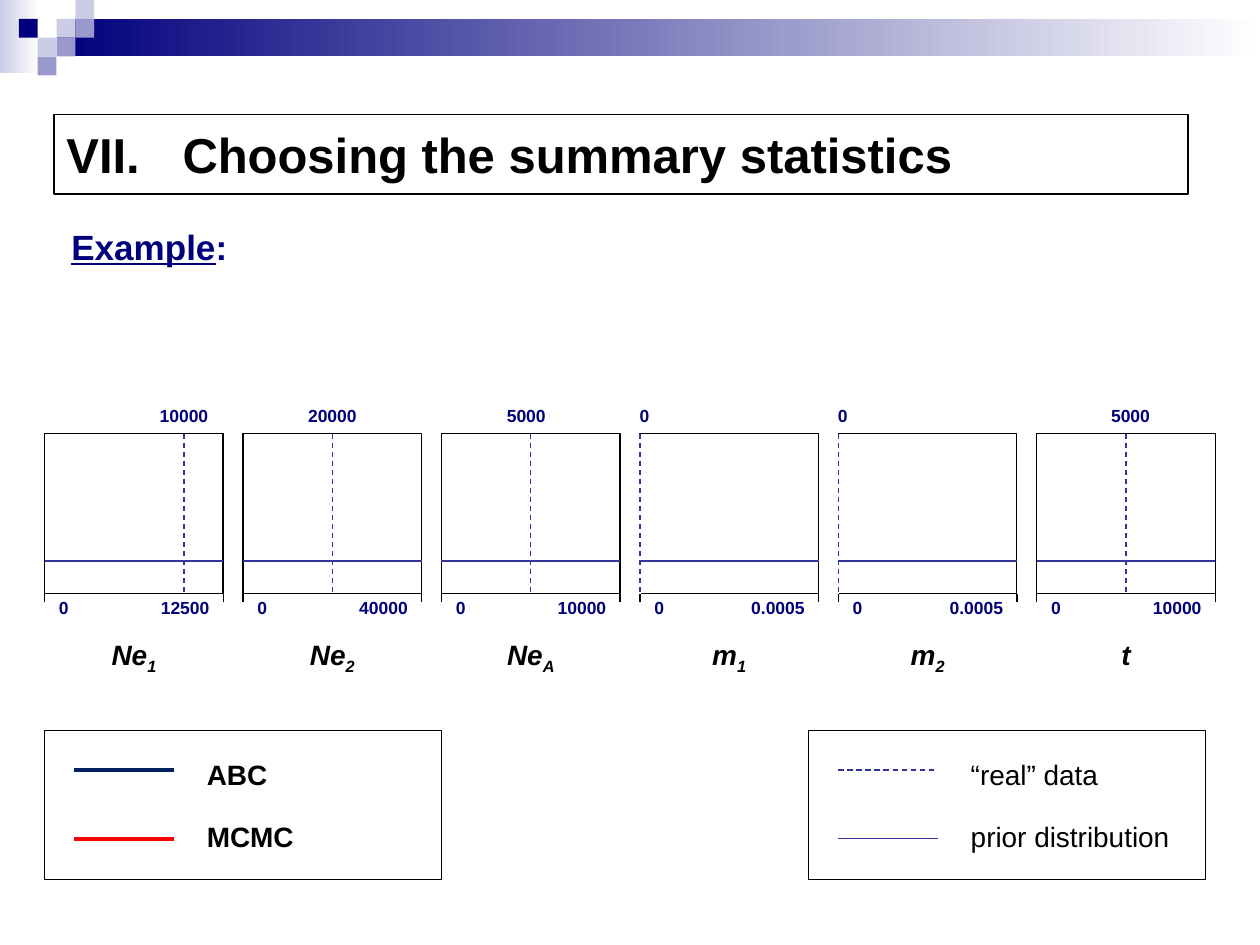
from lxml.etree import SubElement as Sub
from pptx import Presentation
from pptx.dml.color import RGBColor as Rgb
from pptx.enum.dml import MSO_LINE
from pptx.enum.shapes import MSO_CONNECTOR as Conn, MSO_SHAPE as Form
from pptx.enum.text import MSO_ANCHOR as Anchor, PP_ALIGN as Align
from pptx.oxml.ns import qn
from pptx.util import Cm, Pt

HUES = {
    "ink": "000000", "paper": "FFFFFF", "navy": "00007D", "pale": "CCCCE6",
    "mid": "9999CC", "rule": "333399", "deep": "002060", "red": "FF0000",
}
SMALL = {"size": Pt(10), "bold": True}
NAME = {"size": Pt(16), "bold": True, "italic": True}
KEY = {"size": Pt(16)}
BOLD = {"size": Pt(16), "bold": True}
HEAD = {"size": Pt(28), "bold": True}
LEAD = {"size": Pt(20), "bold": True}

PANELS = [
    ("Ne", "1", "10000", "12500", 0.78, 0),
    ("Ne", "2", "20000", "40000", 0.5, 0),
    ("Ne", "A", "5000", "10000", 0.5, -0.09),
    ("m", "1", "0", "0.0005", 0, 0.09),
    ("m", "2", "0", "0.0005", 0, 0.09),
    ("t", "", "5000", "10000", 0.5, 0.09),
]
LEFT_KEY = [("ABC", "deep", 2, False), ("MCMC", "red", 2, False)]
RIGHT_KEY = [("“real” data", "rule", 0.75, True),
             ("prior distribution", "rule", 0.75, False)]


def tint(name):
    """Return the colour with this name."""
    return Rgb.from_string(HUES[name])


def block(slide, x, y, w, h, fill=None, edge=None):
    """Add a rectangle with an optional fill, gradient pair or outline."""
    box = slide.shapes.add_shape(Form.RECTANGLE, Cm(x), Cm(y), Cm(w), Cm(h))
    box.shadow.inherit = False
    if isinstance(fill, tuple):
        box.fill.gradient()
        box.fill.gradient_angle = 0
        for stop, hue, spot in zip(box.fill.gradient_stops, fill, (0, 1)):
            stop.color.rgb = tint(hue)
            stop.position = spot
    elif fill:
        box.fill.solid()
        box.fill.fore_color.rgb = tint(fill)
    else:
        box.fill.background()
    if edge:
        box.line.color.rgb = tint(edge)
        box.line.width = Pt(0.75)
    else:
        box.line.fill.background()
    return box


def stroke(slide, x, y, w, h, hue, width=0.75, dash=False):
    """Add a straight line that spans w by h from x, y."""
    line = slide.shapes.add_connector(
        Conn.STRAIGHT, Cm(x), Cm(y), Cm(x + w), Cm(y + h))
    Sub(line._element.spPr, qn("a:effectLst"))
    line.line.color.rgb = tint(hue)
    line.line.width = Pt(width)
    if dash:
        line.line.dash_style = MSO_LINE.DASH
    return line


def put(para, text, style, hue="ink"):
    """Add a run to the paragraph in the given style."""
    run = para.add_run()
    run.text = text
    for key, val in {"name": "Arial", **style}.items():
        setattr(run.font, key, val)
    run.font.color.rgb = tint(hue)
    return run


def label(slide, x, y, w, h, align=Align.LEFT, **frame):
    """Add an empty text box and return its paragraph."""
    text = slide.shapes.add_textbox(Cm(x), Cm(y), Cm(w), Cm(h)).text_frame
    for key, val in {"word_wrap": True, **frame}.items():
        setattr(text, key, val)
    para = text.paragraphs[0]
    para.alignment = align
    return para


def banner(slide, x, y, w):
    """Draw the gradient bar and its mosaic of squares."""
    unit = 0.38
    block(slide, x, y, 0.79, 1.47, ("pale", "paper"))
    block(slide, x + 3 * unit, y + unit, w - 3 * unit, 2 * unit,
          ("navy", "paper"))
    tiles = [(3, 1, "pale"), (4, 0, "pale"), (4, 1, "mid"), (2, 2, "pale"),
             (1, 1, "navy"), (3, 2, "mid"), (2, 3, "mid")]
    for col, row, hue in tiles:
        block(slide, x + col * unit, y + row * unit, unit, unit, hue)


def title(slide, x, y, w, h):
    """Draw the framed and numbered title."""
    text = block(slide, x, y, w, h, edge="ink").text_frame
    text.word_wrap = True
    text.vertical_anchor = Anchor.MIDDLE
    para = text.paragraphs[0]
    para.alignment = Align.LEFT
    props = para._p.get_or_add_pPr()
    props.set("marL", str(Cm(2.34)))
    props.set("indent", str(Cm(-2.34)))
    tone = Sub(Sub(props, qn("a:buClr")), qn("a:srgbClr"))
    tone.set("val", HUES["ink"])
    Sub(props, qn("a:buFont"), typeface="Arial")
    Sub(props, qn("a:buAutoNum"), type="romanUcPeriod", startAt="7")
    put(para, "Choosing the summary statistics", HEAD)


def lead(slide, x, y, w, h):
    """Write the underlined lead word."""
    para = label(slide, x, y, w, h, vertical_anchor=Anchor.MIDDLE)
    put(para, "Example", {**LEAD, "underline": True}, "navy")
    put(para, ":", LEAD, "navy")


def panel(slide, x, y, w, h, data):
    """Draw one parameter plot with its true value, prior and labels."""
    name, sub, real, top, share, shift = data
    box = block(slide, x, y, w, h, edge="ink")
    for side in (x, x + w):
        stroke(slide, side, y + h, 0, 0.16, "ink")
    stroke(slide, x, y + 2.57, w, 0, "rule")
    mark = x + share * w
    if share == 0:
        stroke(slide, mark, y, 0, h, "paper")
    line = stroke(slide, mark, y, 0, h, "rule", dash=True)
    if share == 0.5:
        line.begin_connect(box, 0)
        line.end_connect(box, 2)
    para = label(slide, mark + shift - 1, y - 0.69, 2, 0.69, Align.CENTER)
    put(para, real, SMALL, "navy")
    para = label(slide, x, y + h - 0.05, w, 0.69,
                 margin_left=Cm(0.29), margin_right=0)
    tabs = Sub(para._p.get_or_add_pPr(), qn("a:tabLst"))
    Sub(tabs, qn("a:tab"), pos=str(Cm(3.03)), algn="r")
    put(para, "0\t" + top, SMALL, "navy")
    para = label(slide, x, y + h + 0.76, w, 1.04, Align.CENTER)
    put(para, name, NAME)
    if sub:
        run = put(para, sub, NAME)
        run.font._element.set("baseline", "-25000")


def legend(slide, x, y, w, h, rows, style):
    """Draw a framed key with one line sample per row."""
    for row, (text, hue, width, dash) in enumerate(rows):
        stroke(slide, x + 0.6, y + 0.79 + row * 1.39, 2, 0, hue, width, dash)
        para = label(slide, x + 3.02, y + 0.41 + row * 1.25, w - 3.02, 0.94)
        put(para, text, style)
    block(slide, x, y, w, h, edge="ink")


def main():
    """Build the slide and save it."""
    deck = Presentation()
    deck.slide_width, deck.slide_height = Cm(25.4), Cm(19.05)
    slide = deck.slides.add_slide(deck.slide_layouts[6])
    banner(slide, 0, 0, 25.4)
    for col, data in enumerate(PANELS):
        panel(slide, 0.9 + col * 4, 8.74, 3.6, 3.23, data)
    legend(slide, 0.9, 14.73, 8, 3, LEFT_KEY, BOLD)
    legend(slide, 16.3, 14.73, 8, 3, RIGHT_KEY, KEY)
    lead(slide, 1.19, 4.17, 20.6, 1.6)
    title(slide, 1.09, 2.31, 22.86, 1.6)
    deck.save("out.pptx")


if __name__ == "__main__":
    main()
